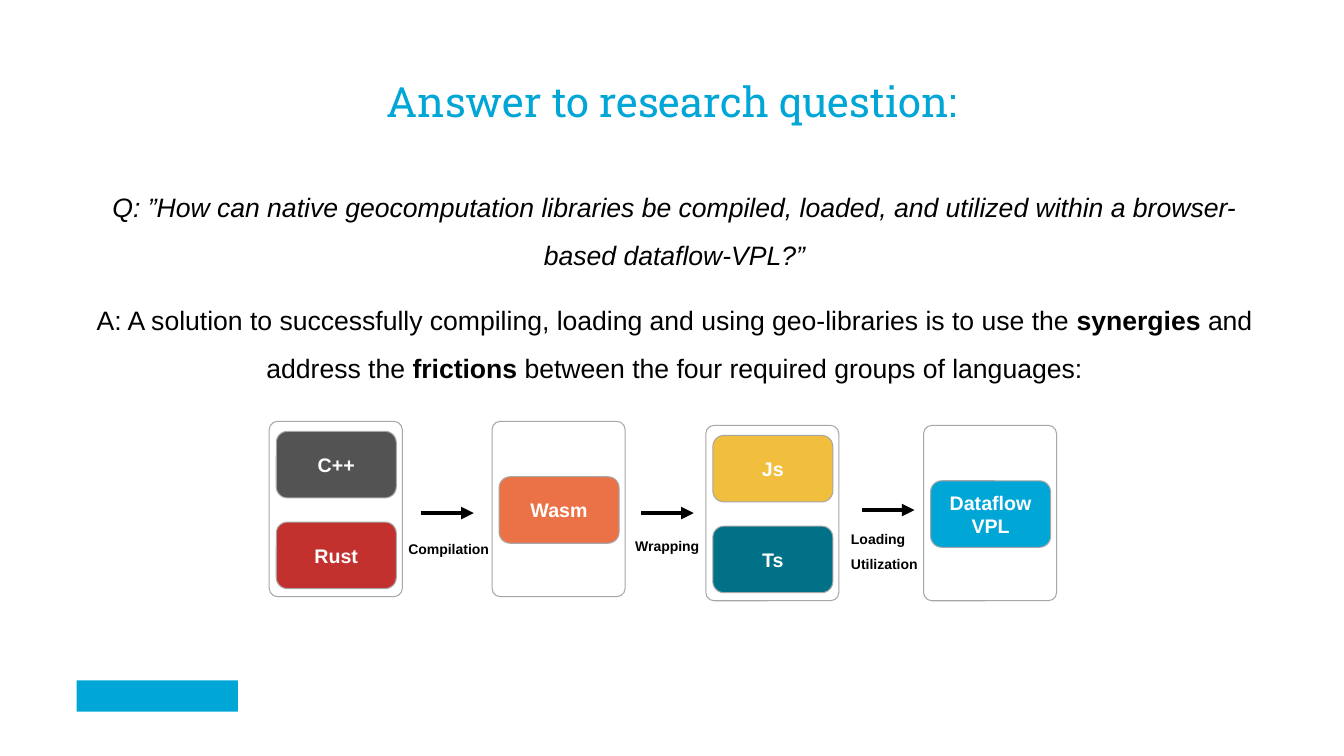
"""Build the slide that answers the research question with a language pipeline."""
from dataclasses import dataclass

from lxml.etree import SubElement
from pptx import Presentation
from pptx.dml.color import RGBColor
from pptx.enum.shapes import MSO_CONNECTOR as Connector, MSO_SHAPE as Shape
from pptx.enum.text import MSO_ANCHOR as Anchor, MSO_AUTO_SIZE as AutoSize, PP_ALIGN as Align
from pptx.oxml.ns import qn
from pptx.util import Inches, Pt


@dataclass(frozen=True)
class Theme:
    heading_font: str = "Roboto Slab"
    body_font: str = "Arial"
    title_size: float = 29.8
    body_size: float = 19
    block_size: float = 14
    label_size: float = 10
    cyan: str = "00A6D6"
    black: str = "000000"
    white: str = "FFFFFF"
    border: str = "A7A7A7"
    charcoal: str = "535353"
    red: str = "C3312F"
    orange: str = "EB7246"
    yellow: str = "F1BE3E"
    teal: str = "017188"


theme = Theme()


def write_text(shape, paragraphs, color, paragraph_format, font_format, inset=0, anchor=Anchor.TOP):
    """Fill a shape with paragraphs, each a list of (text, font values) runs."""
    frame = shape.text_frame
    frame_format = {"word_wrap": True, "auto_size": AutoSize.NONE, "vertical_anchor": anchor}
    for side in ("left", "top", "right", "bottom"):
        frame_format[f"margin_{side}"] = Inches(inset)
    for name, value in frame_format.items():
        setattr(frame, name, value)
    for index, runs in enumerate(paragraphs):
        paragraph = frame.add_paragraph() if index else frame.paragraphs[0]
        for name, value in paragraph_format.items():
            setattr(paragraph, name, value)
        if index == 0:
            paragraph.space_before = Pt(0)
        for text, changes in runs:
            run = paragraph.add_run()
            run.text = text
            for name, value in {**font_format, **changes}.items():
                setattr(run.font, name, value)
            run.font.color.rgb = RGBColor.from_string(color)


def add_box(shapes, kind, left, top, width, height, fill=None, line=None, radius=None):
    """Add a preset shape without shadow and with optional fill, line and corner radius."""
    shape = shapes.add_shape(kind, Inches(left), Inches(top), Inches(width), Inches(height))
    shape.shadow.inherit = False
    if fill:
        shape.fill.solid()
        shape.fill.fore_color.rgb = RGBColor.from_string(fill)
    else:
        shape.fill.background()
    if line:
        shape.line.color.rgb = RGBColor.from_string(line)
        shape.line.width = Pt(0.75)
    else:
        shape.line.fill.background()
    if radius:
        shape.adjustments[0] = radius
    return shape


presentation = Presentation()
presentation.slide_width = Inches(13.33)
presentation.slide_height = Inches(7.5)
slide = presentation.slides.add_slide(presentation.slide_layouts[5])
shapes = slide.shapes

title = shapes.title
title_place = {"left": 0.76, "top": 0.81, "width": 11.81, "height": 0.54}
for name, value in title_place.items():
    setattr(title, name, Inches(value))
write_text(title, [[("Answer to research question:", {})]], theme.cyan,
           {"alignment": Align.CENTER, "line_spacing": 0.9},
           {"name": theme.heading_font, "size": Pt(theme.title_size)})

question = "Q: ”How can native geocomputation libraries be compiled, loaded, and utilized within a browser-based dataflow-VPL?”"
answer = [
    ("A: A solution to successfully compiling, loading and using geo-libraries is to use the ", {}),
    ("synergies ", {"bold": True}),
    ("and address the ", {}),
    ("frictions ", {"bold": True}),
    ("between the four required groups of languages:", {}),
]
body = shapes.add_textbox(Inches(0.76), Inches(1.74), Inches(11.86), Inches(2))
write_text(body, [[(question, {"italic": True})], answer], theme.black,
           {"alignment": Align.CENTER, "line_spacing": 1.5, "space_before": Pt(12)},
           {"name": theme.body_font, "size": Pt(theme.body_size)})

groups = [
    (2.67, 4.18, [("C++", theme.charcoal), ("Rust", theme.red)]),
    (4.88, 4.18, [("Wasm", theme.orange)]),
    (7.0, 4.22, [("Js", theme.yellow), ("Ts", theme.teal)]),
    (9.16, 4.22, [("Dataflow\nVPL", theme.cyan)]),
]
block_offsets = {1: [0.55], 2: [0.1, 1.0]}
for left, top, blocks in groups:
    add_box(shapes, Shape.ROUNDED_RECTANGLE, left, top, 1.32, 1.74, line=theme.border, radius=0.063)
    for (text, color), offset in zip(blocks, block_offsets[len(blocks)]):
        block = add_box(shapes, Shape.ROUNDED_RECTANGLE, left + 0.07, top + offset, 1.19, 0.66,
                        color, theme.border, 0.167)
        write_text(block, [[(line, {})] for line in text.split("\n")], theme.white,
                   {"alignment": Align.CENTER},
                   {"name": theme.body_font, "size": Pt(theme.block_size), "bold": True},
                   inset=0.1, anchor=Anchor.MIDDLE)

steps = [
    (4.18, 5.09, 4.05, 5.28, 1.5, ["Compilation"]),
    (6.36, 5.09, 6.3, 5.25, 1.5, ["Wrapping"]),
    (8.55, 5.06, 8.44, 5.33, 0.5, ["Loading", "Utilization"]),
]
for arrow_left, arrow_top, label_left, label_top, spacing, lines in steps:
    arrow = shapes.add_connector(Connector.STRAIGHT, Inches(arrow_left), Inches(arrow_top),
                                 Inches(arrow_left + 0.52), Inches(arrow_top))
    arrow.line.color.rgb = RGBColor.from_string(theme.black)
    arrow.line.width = Pt(3)
    properties = arrow._element.spPr
    SubElement(properties.find(qn("a:ln")), qn("a:tailEnd"), type="triangle")
    SubElement(properties, qn("a:effectLst"))
    label = shapes.add_textbox(Inches(label_left), Inches(label_top), Inches(1.42), Inches(0.75))
    write_text(label, [[(line, {})] for line in lines], theme.black,
               {"alignment": Align.LEFT, "line_spacing": spacing, "space_before": Pt(12)},
               {"name": theme.body_font, "size": Pt(theme.label_size), "bold": True})

add_box(shapes, Shape.RECTANGLE, 0.76, 6.75, 1.6, 0.31, fill=theme.cyan)

presentation.save("out.pptx")
